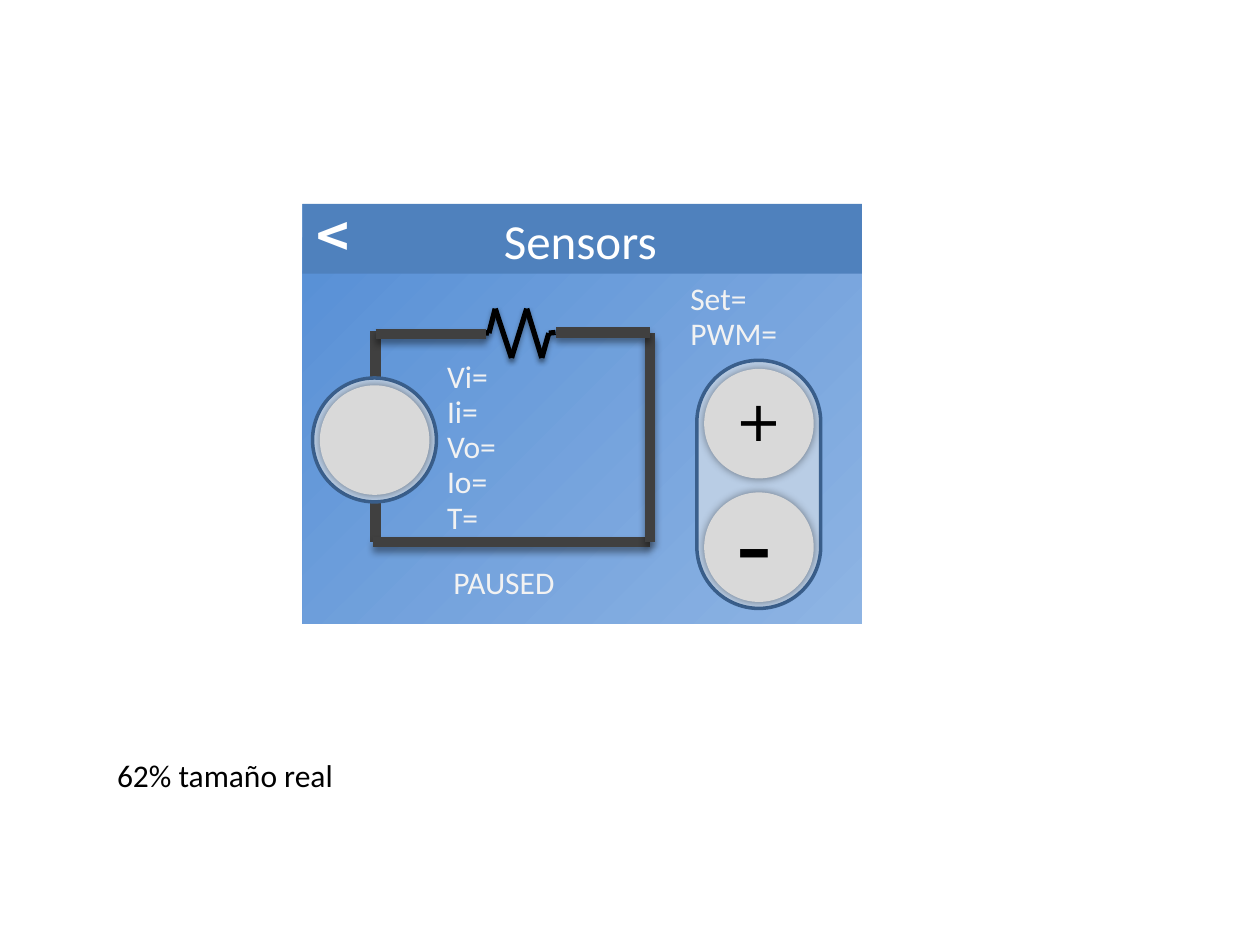
import itertools
import lxml.etree
import pptx
import pptx.util
import pptx.dml.color
import pptx.enum.shapes
import pptx.enum.text
import pptx.oxml

Pt = pptx.util.Pt
RGBColor = pptx.dml.color.RGBColor
MSO_SHAPE = pptx.enum.shapes.MSO_SHAPE
PP_ALIGN = pptx.enum.text.PP_ALIGN
A = "http://schemas.openxmlformats.org/drawingml/2006/main"

SKY = RGBColor(0x55, 0x8E, 0xD5)
PALE_SKY = RGBColor(0x8E, 0xB4, 0xE3)
HEADER = RGBColor(0x4F, 0x81, 0xBD)
RING = RGBColor(0xB9, 0xCD, 0xE5)
RING_EDGE = RGBColor(0x3A, 0x5F, 0x8C)
BUTTON = RGBColor(0xD9, 0xD9, 0xD9)
WIRE = RGBColor(0x40, 0x40, 0x40)
BLACK = RGBColor(0, 0, 0)
WHITE = RGBColor(255, 255, 255)
OFF_WHITE = RGBColor(0xF2, 0xF2, 0xF2)

prs = pptx.Presentation()
prs.slide_width, prs.slide_height = Pt(720), Pt(540)
s = prs.slides.add_slide(prs.slide_layouts[6])


def set_shadow(sp, alpha=0, blur=0, dist=0, angle=0):
    effects = lxml.etree.SubElement(sp._element.spPr, f"{{{A}}}effectLst")
    if alpha:
        effects.append(pptx.oxml.parse_xml(
            f'<a:outerShdw xmlns:a="{A}" blurRad="{Pt(blur)}" dist="{Pt(dist)}" '
            f'dir="{angle * 60000}" rotWithShape="0"><a:srgbClr val="000000">'
            f'<a:alpha val="{alpha * 1000}"/></a:srgbClr></a:outerShdw>'))


def add_shape(kind, x, y, w, h, fill, edge=None):
    sp = s.shapes.add_shape(kind, Pt(x), Pt(y), Pt(w), Pt(h))
    sp.fill.solid()
    sp.fill.fore_color.rgb = fill
    if edge:
        sp.line.color.rgb = edge
        sp.line.width = Pt(2)
    else:
        sp.line.fill.background()
    return sp


screen = add_shape(MSO_SHAPE.RECTANGLE, 172.8, 116.6, 319.8, 240, SKY)
screen.shadow.inherit = False
screen.fill.gradient()
screen.fill.gradient_angle = 315
for stop, color in zip(screen.fill.gradient_stops, (SKY, PALE_SKY)):
    stop.color.rgb = color

left, right, top, bottom = 214.6, 371.5, 190.4, 309.6
resistor = [(275.8, 190), (279.4, 190.4), (283, 176.4), (292.3, 204.5),
            (301, 176.4), (309.6, 204.5), (313.6, 190.4), (317.5, 190)]
flat, soft, deep = (), (35, 3.1, 1.8, 90), (40, 4, 3, 90)
lines = [((left, 216), (left, 189.4), WIRE, 6, flat),
         ((left, bottom), (left, 278.6), WIRE, 6, flat)]
lines += [(a, b, BLACK, 3, soft) for a, b in itertools.pairwise(resistor)]
lines += [((213.2, bottom), (right, bottom), WIRE, 6, deep),
          ((right, bottom), (right, top), WIRE, 6, deep),
          ((right, 190), (317.5, 190), WIRE, 6, deep),
          ((left, 190.8), (278, 190.8), WIRE, 6, deep)]
for start, end, color, width, shadow in lines:
    cn = s.shapes.add_connector(pptx.enum.shapes.MSO_CONNECTOR.STRAIGHT,
                                Pt(start[0]), Pt(start[1]), Pt(end[0]), Pt(end[1]))
    cn.line.color.rgb = color
    cn.line.width = Pt(width)
    set_shadow(cn, *shadow)

pill = add_shape(MSO_SHAPE.ROUNDED_RECTANGLE, 398.2, 205.9, 70.8, 141.8, RING, RING_EDGE)
pill.adjustments[0] = 0.5
source = add_shape(MSO_SHAPE.OVAL, 178.6, 216, 70.8, 70.8, RING, RING_EDGE)
header = add_shape(MSO_SHAPE.RECTANGLE, 172.8, 116.6, 319.8, 39.8, HEADER)
for sp in (pill, source, header):
    set_shadow(sp)
for x, y in ((402.4, 281.4), (402.4, 210.8), (182.8, 220.2)):
    set_shadow(add_shape(MSO_SHAPE.OVAL, x, y, 62.6, 62.6, BUTTON), 40, 5)

texts = [
    (59.8, 428.4, 139, 29, ["62% tamaño real"], 18, "Calibri", BLACK, False),
    (248.4, 202.3, 129, 108, ["Vi=", "Ii=", "Vo=", "Io=", "T="], 18, "Calibri", OFF_WHITE, True),
    (413.3, 269.3, 33.8, 80, ["-"], 60, "DejaVu Sans", BLACK, True),
    (413.3, 216.7, 41, 46, ["+"], 32, "DejaVu Sans", BLACK, False),
    (252, 318.2, 90.7, 29, ["PAUSED"], 18, "Calibri", OFF_WHITE, True),
    (212.4, 116.6, 238.3, 41, ["Sensors"], 28, "Calibri", WHITE, True),
    (173.5, 111.6, 51, 46, ["<"], 32, "Noto Sans CJK SC", WHITE, True),
    (387.4, 157.7, 97, 47.5, ["Set=", "PWM="], 18, "Calibri", OFF_WHITE, True),
]
for x, y, w, h, rows, size, font, color, wrap in texts:
    tf = s.shapes.add_textbox(Pt(x), Pt(y), Pt(w), Pt(h)).text_frame
    tf.word_wrap = wrap
    tf.auto_size = pptx.enum.text.MSO_AUTO_SIZE.SHAPE_TO_FIT_TEXT
    for i, row in enumerate(rows):
        p = tf.add_paragraph() if i else tf.paragraphs[0]
        if len(rows) > 1:
            p.line_spacing = Pt(20)
        if row in ("+", "Sensors"):
            p.alignment = PP_ALIGN.CENTER
        r = p.add_run()
        r.text = row
        r.font.size = Pt(size)
        r.font.name = font
        r.font.color.rgb = color
        if row == "<":
            r.font.bold = True
        if row == "+":
            r.font._element.insert(0, pptx.oxml.parse_xml(
                f'<a:ln xmlns:a="{A}" w="{Pt(1.45)}"><a:solidFill>'
                '<a:srgbClr val="000000"/></a:solidFill></a:ln>'))

prs.save("out.pptx")
